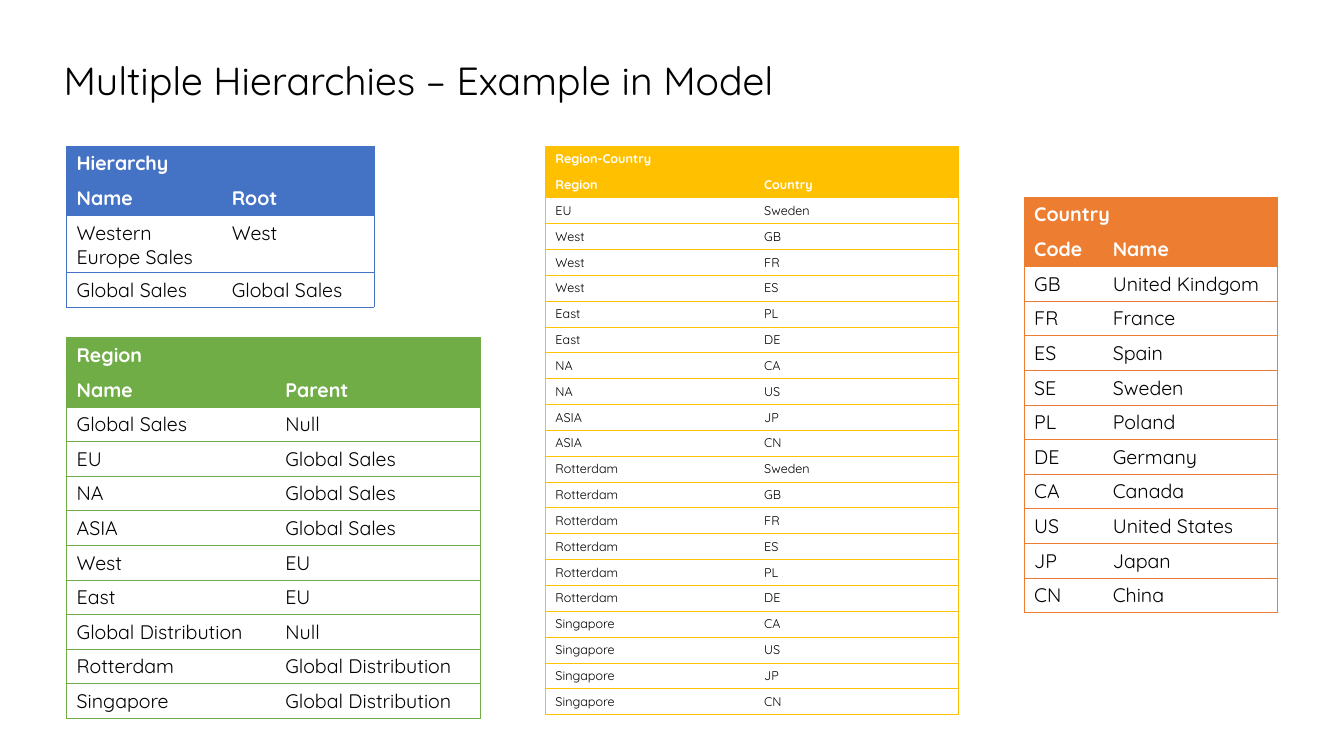
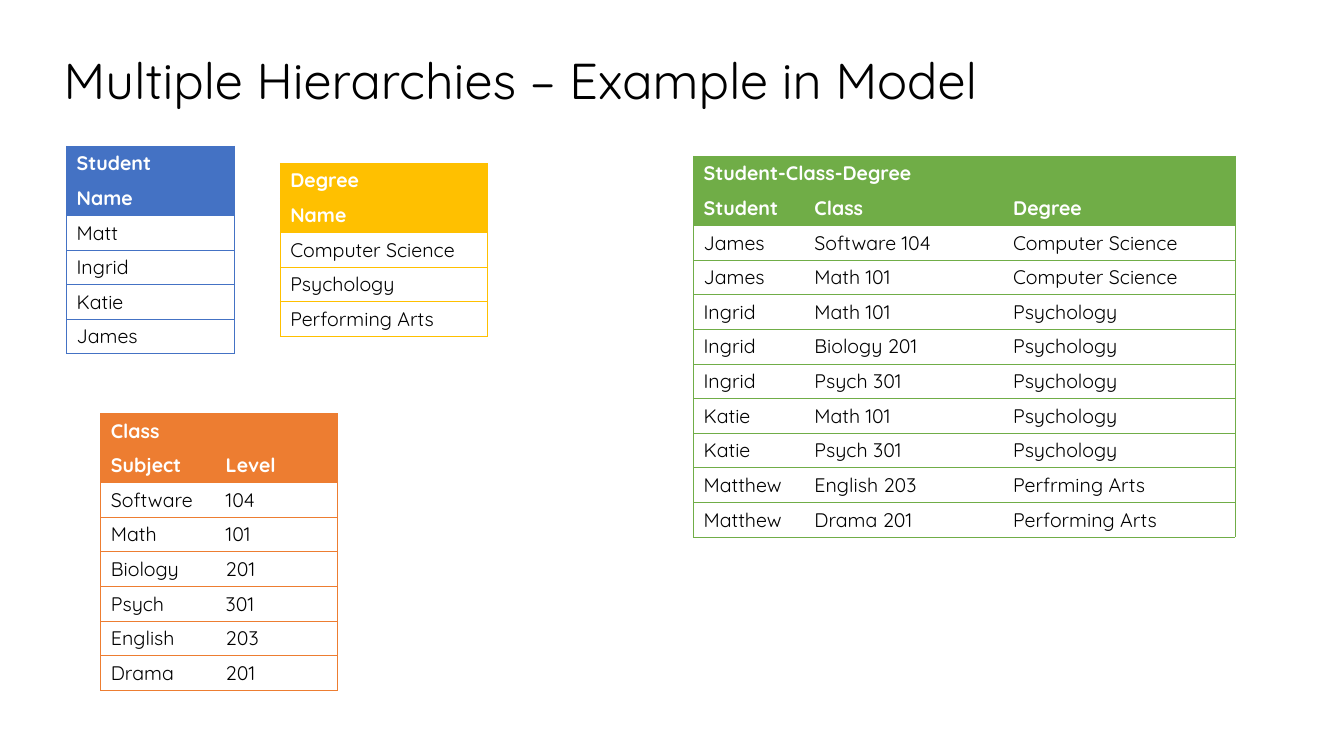
import pptx
import pptx.dml.color
import pptx.enum.text
import pptx.oxml
import pptx.oxml.ns
import pptx.util

RGB = pptx.dml.color.RGBColor
BLUE = RGB(0x44, 0x72, 0xC4)
GREEN = RGB(0x70, 0xAD, 0x47)
GOLD = RGB(0xFF, 0xC0, 0x00)
ORANGE = RGB(0xED, 0x7D, 0x31)
BLACK = RGB(0, 0, 0)
WHITE = RGB(0xFF, 0xFF, 0xFF)

FONT = "Quicksand"
TITLE = "Multiple Hierarchies – Example in Model"
WIDE = pptx.util.Inches(13.33)
HIGH = pptx.util.Inches(7.5)
ROWS = {14: 4.58, 9: 3.42}  # row height in percent of the slide, by text size

# Each table: colour, text size, left, top, column widths, rows.
# Lengths are percent of the slide's width or height.
SALES = [
    (BLUE, 14, 4.95, 19.33, [11.55, 11.33], [
        ["Hierarchy"],
        ["Name", "Root"],
        ["Western Europe Sales", "West"],
        ["Global Sales", "Global Sales"],
    ]),
    (GREEN, 14, 4.95, 44.67, [15.53, 15.23], [
        ["Region"],
        ["Name", "Parent"],
        ["Global Sales", "Null"],
        ["EU", "Global Sales"],
        ["NA", "Global Sales"],
        ["ASIA", "Global Sales"],
        ["West", "EU"],
        ["East", "EU"],
        ["Global Distribution", "Null"],
        ["Rotterdam", "Global Distribution"],
        ["Singapore", "Global Distribution"],
    ]),
    (GOLD, 9, 40.58, 19.33, [15.53, 15.23], [
        ["Region-Country"],
        ["Region", "Country"],
        ["EU", "Sweden"],
        ["West", "GB"],
        ["West", "FR"],
        ["West", "ES"],
        ["East", "PL"],
        ["East", "DE"],
        ["NA", "CA"],
        ["NA", "US"],
        ["ASIA", "JP"],
        ["ASIA", "CN"],
        ["Rotterdam", "Sweden"],
        ["Rotterdam", "GB"],
        ["Rotterdam", "FR"],
        ["Rotterdam", "ES"],
        ["Rotterdam", "PL"],
        ["Rotterdam", "DE"],
        ["Singapore", "CA"],
        ["Singapore", "US"],
        ["Singapore", "JP"],
        ["Singapore", "CN"],
    ]),
    (ORANGE, 14, 76.2, 26.1, [5.85, 12.98], [
        ["Country"],
        ["Code", "Name"],
        ["GB", "United Kindgom"],
        ["FR", "France"],
        ["ES", "Spain"],
        ["SE", "Sweden"],
        ["PL", "Poland"],
        ["DE", "Germany"],
        ["CA", "Canada"],
        ["US", "United States"],
        ["JP", "Japan"],
        ["CN", "China"],
    ]),
]
SCHOOL = [
    (BLUE, 14, 4.95, 19.33, [12.45], [
        ["Student"], ["Name"],
        ["Matt"], ["Ingrid"], ["Katie"], ["James"],
    ]),
    (GREEN, 14, 51.6, 20.67, [8.25, 14.78, 17.25], [
        ["Student-Class-Degree"],
        ["Student", "Class", "Degree"],
        ["James", "Software 104", "Computer Science"],
        ["James", "Math 101", "Computer Science"],
        ["Ingrid", "Math 101", "Psychology"],
        ["Ingrid", "Biology 201", "Psychology"],
        ["Ingrid", "Psych 301", "Psychology"],
        ["Katie", "Math 101", "Psychology"],
        ["Katie", "Psych 301", "Psychology"],
        ["Matthew", "English 203", "Perfrming Arts"],
        ["Matthew", "Drama 201", "Performing Arts"],
    ]),
    (GOLD, 14, 20.85, 21.6, [15.38], [
        ["Degree"], ["Name"],
        ["Computer Science"], ["Psychology"], ["Performing Arts"],
    ]),
    (ORANGE, 14, 7.5, 54.67, [8.55, 9.08], [
        ["Class"],
        ["Subject", "Level"],
        ["Software", "104"],
        ["Math", "101"],
        ["Biology", "201"],
        ["Psych", "301"],
        ["English", "203"],
        ["Drama", "201"],
    ]),
]


def edge(cell, sides, color):
    """Line the cell on the given sides (letters of LRTB), and clear the others."""
    props = cell._tc.get_or_add_tcPr()
    for side in "LRTB":
        if side in sides:
            paint = f'<a:solidFill><a:srgbClr val="{color}"/></a:solidFill>'
        else:
            paint = "<a:noFill/>"
        props.append(pptx.oxml.parse_xml(
            f'<a:ln{side} {pptx.oxml.ns.nsdecls("a")} w="{pptx.util.Pt(0.5)}">'
            f"{paint}</a:ln{side}>"))


def style(par, size, color, bold=False):
    for run in par.runs:
        run.font.name = FONT
        run.font.size = pptx.util.Pt(size)
        run.font.color.rgb = color
        run.font.bold = bold


deck = pptx.Presentation()
deck.slide_width, deck.slide_height = WIDE, HIGH

for points, tables in [(28, SALES), (36, SCHOOL)]:
    slide = deck.slides.add_slide(deck.slide_layouts[6])
    box = slide.shapes.add_textbox(
        int(WIDE * 0.04), int(HIGH * 0.07), int(WIDE * 0.79), int(HIGH * 0.08))
    frame = box.text_frame
    frame.word_wrap = True
    frame.vertical_anchor = pptx.enum.text.MSO_ANCHOR.MIDDLE
    frame.text = TITLE
    frame.paragraphs[0].line_spacing = 0.9
    style(frame.paragraphs[0], points, BLACK)

    for color, size, left, top, cols, rows in tables:
        tall = int(HIGH * ROWS[size] / 100)
        grid = slide.shapes.add_table(
            len(rows), len(cols), int(WIDE * left / 100), int(HIGH * top / 100),
            int(WIDE * sum(cols) / 100), tall * len(rows)).table
        grid.first_row = grid.horz_banding = False
        for col, share in zip(grid.columns, cols):
            col.width = int(WIDE * share / 100)
        last = len(cols) - 1
        if last:
            grid.cell(0, 0).merge(grid.cell(0, last))

        for r, row in enumerate(rows):
            grid.rows[r].height = tall
            head = r < 2
            for c in range(len(cols)):
                cell = grid.cell(r, c)
                sides = "TB" + "L" * (c == 0) + "R" * (c == last or r == 0)
                edge(cell, sides, color)
                if head:
                    cell.fill.solid()
                    cell.fill.fore_color.rgb = color
                else:
                    cell.fill.background()
                if c < len(row):
                    cell.text_frame.text = row[c]
                    style(cell.text_frame.paragraphs[0], size,
                          WHITE if head else BLACK, head)

deck.save("out.pptx")
